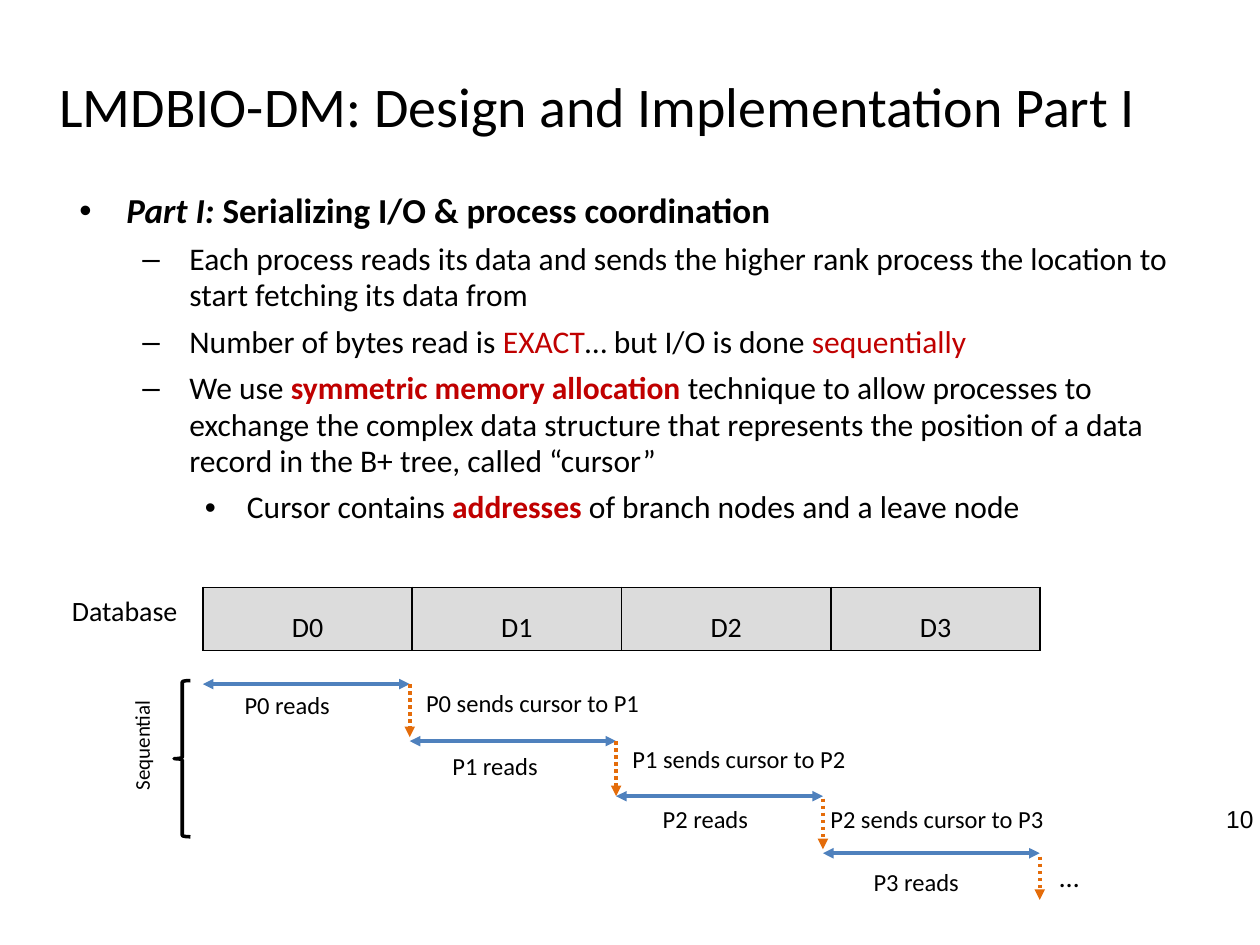
from lxml import etree
from pptx import Presentation
from pptx import util as u
from pptx.dml.color import RGBColor
from pptx.enum import dml, shapes, text
from pptx.oxml.ns import qn

BLACK, RED, BLUE, ORANGE, GREY = "000000", "C00000", "4F81BD", "E46C0A", "DCDCDC"


def rgb(value):
    return RGBColor.from_string(value)


def add_text(s, box, paragraphs, size, anchor=text.MSO_ANCHOR.MIDDLE, font="Calibri"):
    sp = s.shapes.add_textbox(*[u.Cm(v) for v in box])
    tf = sp.text_frame
    tf.word_wrap = True
    tf.vertical_anchor = anchor
    tf.margin_left = tf.margin_right = tf.margin_top = tf.margin_bottom = u.Cm(0.13)
    for i, runs in enumerate(paragraphs):
        p = tf.paragraphs[0] if i == 0 else tf.add_paragraph()
        for words, color, bold, italic in runs:
            r = p.add_run()
            r.text = words
            r.font.name = font
            r.font.size = u.Pt(size)
            r.font.bold = bold
            r.font.italic = italic
            r.font.color.rgb = rgb(color)
    return sp


prs = Presentation()
prs.slide_width, prs.slide_height = u.Cm(25.4), u.Cm(19.05)
s = prs.slides.add_slide(prs.slide_layouts[6])

add_text(s, (1.07, 0.64, 22.66, 2.97),
         [[("LMDBIO-DM: Design and Implementation Part I", BLACK, False, False)]], 32)

body = [
    (0, [("Part I: ", BLACK, True, True),
         ("Serializing I/O & process coordination", BLACK, True, False)]),
    (1, [("Each process reads its data and sends the higher rank process the location to "
          "start fetching its data from", BLACK, False, False)]),
    (1, [("Number of bytes read is ", BLACK, False, False),
         ("EXACT", RED, False, False),
         ("… but I/O is done ", BLACK, False, False),
         ("sequentially", RED, False, False)]),
    (1, [("We use ", BLACK, False, False),
         ("symmetric memory allocation ", RED, True, False),
         ("technique to allow processes to exchange the complex data structure that "
          "represents the position of a data record in the B+ tree, called “cursor”",
          BLACK, False, False)]),
    (2, [("Cursor contains ", BLACK, False, False),
         ("addresses", RED, True, False),
         (" of branch nodes and a leave node", BLACK, False, False)]),
]
levels = [(0.95, 0.95, "•"), (2.22, 0.95, "–"), (3.38, 0.85, "•")]
sp = add_text(s, (1.47, 3.71, 22.66, 7.95), [runs for _, runs in body], 18,
              text.MSO_ANCHOR.TOP)
for i, (p, (level, _)) in enumerate(zip(sp.text_frame.paragraphs, body)):
    margin, hang, bullet = levels[level]
    p.level = level
    p.line_spacing = 0.97
    p.space_before = u.Pt(5.5 if i else 0)
    pPr = p._p.get_or_add_pPr()
    pPr.set("marL", str(u.Cm(margin)))
    pPr.set("indent", str(-u.Cm(hang)))
    etree.SubElement(pPr, qn("a:buFont")).set("typeface", "Arial")
    etree.SubElement(pPr, qn("a:buChar")).set("char", bullet)
for r in sp.text_frame.paragraphs[0].runs:
    r.font.size = u.Pt(20)

sp = add_text(s, (24.56, 16.08, 0.84, 0.81), [[("10", BLACK, False, False)]], 14,
              text.MSO_ANCHOR.TOP, "Arial")
sp.text_frame.word_wrap = False
sp.text_frame.paragraphs[0].alignment = text.PP_ALIGN.RIGHT

table = s.shapes.add_table(1, 4, u.Cm(4.09), u.Cm(11.84), u.Cm(16.88), u.Cm(1.27)).table
for i, cell in enumerate(table.rows[0].cells):
    table.columns[i].width = u.Cm(4.22)
    cell.vertical_anchor = text.MSO_ANCHOR.MIDDLE
    p = cell.text_frame.paragraphs[0]
    p.alignment = text.PP_ALIGN.CENTER
    p.line_spacing = 1.5
    r = p.add_run()
    r.text = f"D{i}"
    r.font.name = "Calibri"
    r.font.size = u.Pt(16)
    r.font.bold = False
    r.font.color.rgb = rgb(BLACK)
    tcPr = cell._tc.get_or_add_tcPr()
    for side in ("a:lnL", "a:lnR", "a:lnT", "a:lnB"):
        ln = etree.SubElement(tcPr, qn(side), w=str(u.Pt(1)))
        fill = etree.SubElement(ln, qn("a:solidFill"))
        etree.SubElement(fill, qn("a:srgbClr")).set("val", BLACK)
    cell.fill.solid()
    cell.fill.fore_color.rgb = rgb(GREY)

xs = [4.09, 8.26, 12.42, 16.59, 20.96]
ys = [13.79, 14.94, 16.05, 17.2]
drops = [(13.79, 14.86), (14.94, 16.05), (16.1, 17.12), (17.27, 18.14)]
arrows = []
for i, y in enumerate(ys):
    top, bottom = drops[i]
    arrows.append((xs[i], y, xs[i + 1], y, BLUE, ("a:headEnd", "a:tailEnd")))
    arrows.append((xs[i + 1], top, xs[i + 1], bottom, ORANGE, ("a:tailEnd",)))
for x1, y1, x2, y2, color, ends in arrows:
    c = s.shapes.add_connector(shapes.MSO_CONNECTOR.STRAIGHT,
                               u.Cm(x1), u.Cm(y1), u.Cm(x2), u.Cm(y2))
    c.line.color.rgb = rgb(color)
    c.line.width = u.Pt(2)
    if color == ORANGE:
        c.line.dash_style = dml.MSO_LINE.ROUND_DOT
    ln = c.line._get_or_add_ln()
    for end in ends:
        etree.SubElement(ln, qn(end)).set("type", "triangle")
    etree.SubElement(c._element.spPr, qn("a:effectLst"))

sp = s.shapes.add_shape(shapes.MSO_SHAPE.LEFT_BRACE,
                        u.Cm(3.51), u.Cm(13.72), u.Cm(0.33), u.Cm(3.15))
sp.shadow.inherit = False
sp.fill.background()
sp.line.color.rgb = rgb(BLACK)
sp.line.width = u.Pt(2)

labels = [
    ("Database", 1.32, 11.84, 2.74, 0.94, 16),
    ("P0 reads", 4.8, 13.79, 2.13, 0.84, 14),
    ("P1 reads", 8.99, 15.01, 2.13, 0.84, 14),
    ("P2 reads", 13.23, 16.08, 2.13, 0.84, 14),
    ("P3 reads", 17.48, 17.35, 2.13, 0.84, 14),
    ("P0 sends cursor to P1", 8.46, 13.74, 5.87, 0.84, 14),
    ("P1 sends cursor to P2", 12.62, 14.88, 5.89, 0.84, 14),
    ("P2 sends cursor to P3", 16.61, 16.08, 5.97, 0.84, 14),
    ("…", 21.23, 17.2, 1.09, 0.94, 16),
    ("Sequential", 1.42, 14.25, 2.87, 0.76, 12),
]
for words, x, y, w, h, size in labels:
    sp = add_text(s, (x, y, w, h), [[(words, BLACK, False, False)]], size)
    if words == "Sequential":
        sp.rotation = 270

prs.save("out.pptx")
